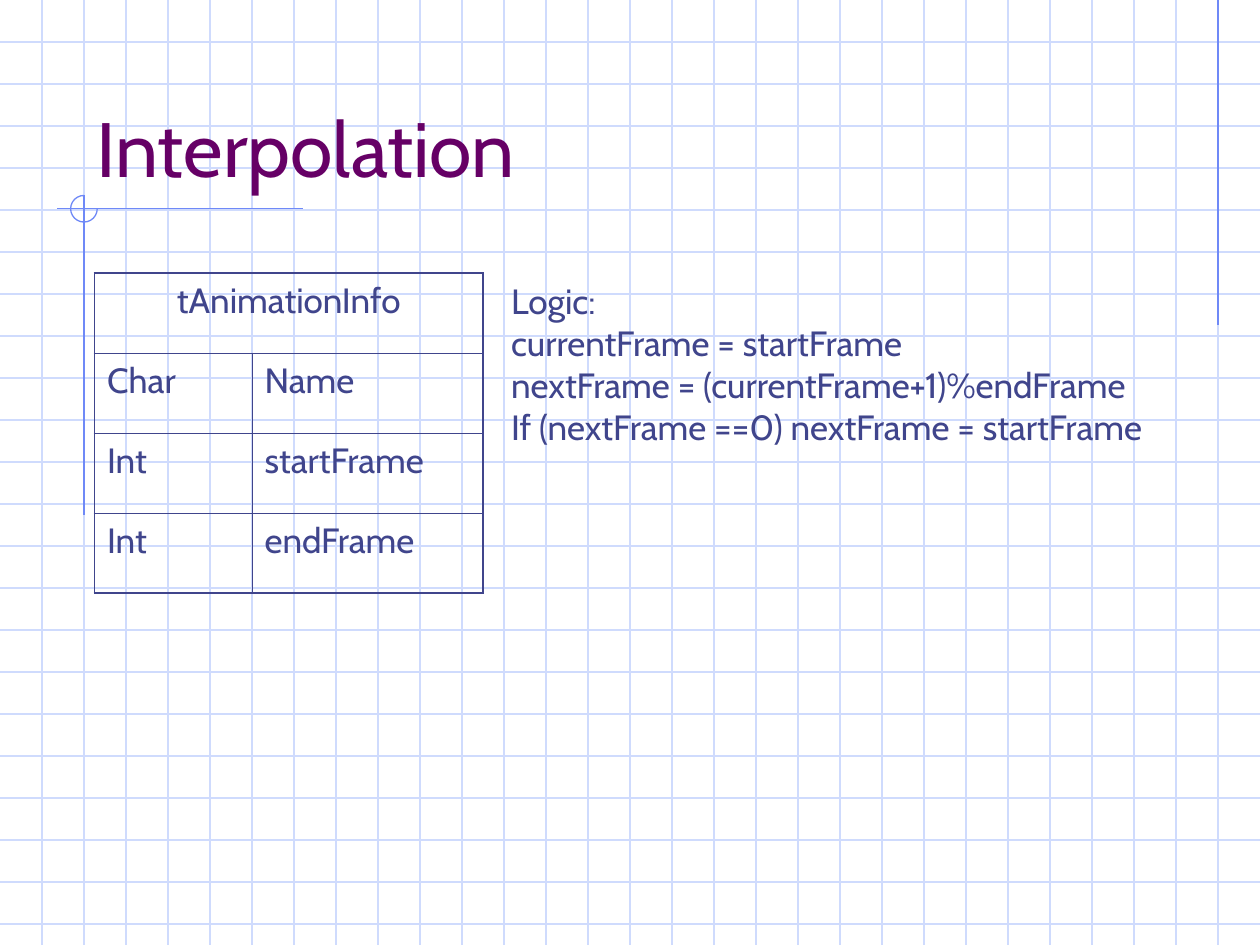
from dataclasses import dataclass

from lxml import etree
from pptx import Presentation
from pptx import util as u
from pptx.dml.color import RGBColor
from pptx.enum import shapes, text
from pptx.oxml import ns

Pt = u.Pt


@dataclass(frozen=True)
class Theme:
    """Colours, font and sizes of the deck."""
    font: str = "Cabin"
    title: str = "660066"
    ink: str = "40458C"
    grid: str = "CFDBFD"
    accent: str = "6F89F7"
    title_size: float = 44
    body_size: float = 20
    rule: float = 0.74
    thin: float = 0.45
    thick: float = 1.08


class SlideBuilder:
    """Adds styled elements to one slide."""

    def __init__(self, s, theme):
        """Keep the slide and its theme."""
        self.s, self.theme = s, theme

    def set_text(self, tf, content, size, color, align=text.PP_ALIGN.LEFT, before=0):
        """Set and format the text of a frame."""
        tf.text = content
        for p in tf.paragraphs:
            p.alignment = align
            p.space_before = Pt(before)
            for r in p.runs:
                r.font.name = self.theme.font
                r.font.size = Pt(size)
                r.font.bold = False
                r.font.color.rgb = RGBColor.from_string(color)

    def line(self, x1, y1, x2, y2, color):
        """Draw a straight line."""
        c = self.s.shapes.add_connector(
            shapes.MSO_CONNECTOR.STRAIGHT, Pt(x1), Pt(y1), Pt(x2), Pt(y2))
        c.line.color.rgb = RGBColor.from_string(color)
        c.line.width = Pt(self.theme.rule)
        etree.SubElement(c.element.spPr, ns.qn("a:effectLst"))

    def grid(self, width, height, step):
        """Rule the slide like squared paper."""
        for y in range(step, height, step):
            self.line(0, y, width, y, self.theme.grid)
        for x in range(step, width, step):
            self.line(x, 0, x, height, self.theme.grid)

    def arc(self, cx, cy, radius, start, end):
        """Draw a clockwise arc between two angles in degrees."""
        sp = self.s.shapes.add_shape(
            shapes.MSO_SHAPE.ARC, Pt(cx - radius), Pt(cy - radius),
            Pt(2 * radius), Pt(2 * radius))
        sp.adjustments[0] = start * 0.6
        sp.adjustments[1] = end * 0.6
        sp.shadow.inherit = False
        sp.fill.background()
        sp.line.color.rgb = RGBColor.from_string(self.theme.accent)
        sp.line.width = Pt(self.theme.rule)

    def title(self, content, x, y, w, h):
        """Place the title in front of the grid."""
        sp = self.s.shapes.title
        sp.left, sp.top, sp.width, sp.height = Pt(x), Pt(y), Pt(w), Pt(h)
        tf = sp.text_frame
        tf.auto_size = text.MSO_AUTO_SIZE.NONE
        tf.vertical_anchor = text.MSO_ANCHOR.BOTTOM
        self.set_text(tf, content, self.theme.title_size, self.theme.title)
        sp.element.getparent().append(sp.element)

    def textbox(self, lines, x, y, w, h):
        """Add a text box with one paragraph per line."""
        tf = self.s.shapes.add_textbox(Pt(x), Pt(y), Pt(w), Pt(h)).text_frame
        tf.word_wrap = False
        self.set_text(tf, "\n".join(lines), self.theme.body_size, self.theme.ink)

    def border(self, cell, side, width):
        """Draw one side of a table cell."""
        ln = etree.SubElement(cell._tc.get_or_add_tcPr(), ns.qn("a:ln" + side),
                              w=str(int(Pt(width))))
        fill = etree.SubElement(ln, ns.qn("a:solidFill"))
        etree.SubElement(fill, ns.qn("a:srgbClr"), val=self.theme.ink)

    def table(self, heading, rows, x, y, widths, row_height):
        """Add a table with a merged heading and a thicker outline."""
        n_rows, n_cols = len(rows) + 1, len(widths)
        table = self.s.shapes.add_table(
            n_rows, n_cols, Pt(x), Pt(y), Pt(sum(widths)),
            Pt(row_height * n_rows)).table
        table.first_row = table.horz_banding = False
        for col, width in zip(table.columns, widths):
            col.width = Pt(width)
        table.cell(0, 0).merge(table.cell(0, n_cols - 1))
        for i, row in enumerate([[heading, ""], *rows]):
            for j, value in enumerate(row):
                cell = table.cell(i, j)
                align = text.PP_ALIGN.LEFT if i else text.PP_ALIGN.CENTER
                self.set_text(cell.text_frame, value, self.theme.body_size,
                              self.theme.ink, align, before=5)
                outer = {"L": j == 0, "R": j == n_cols - 1 or i == 0,
                         "T": i == 0, "B": i == n_rows - 1}
                for side, edge in outer.items():
                    self.border(cell, side,
                                self.theme.thick if edge else self.theme.thin)
                cell.fill.background()


def main():
    """Build the slide and save it."""
    width, height, step = 720, 540, 24
    prs = Presentation()
    prs.slide_width, prs.slide_height = Pt(width), Pt(height)
    theme = Theme()
    b = SlideBuilder(prs.slides.add_slide(prs.slide_layouts[5]), theme)

    b.grid(width, height, step)
    cross_x, cross_y = 48, 119.3
    b.line(696, 0, 696, 186, theme.accent)
    b.line(173, cross_y, 32.5, cross_y, theme.accent)
    b.line(cross_x, 111.5, cross_x, 294.5, theme.accent)
    b.arc(cross_x, cross_y, 7.6, 0, 270)

    b.title("Interpolation", 48, 24, 612, 90)
    b.table("tAnimationInfo",
            [["Char", "Name"], ["Int", "startFrame"], ["Int", "endFrame"]],
            54, 156, [90, 132], 45.75)
    b.textbox(["Logic:",
               "currentFrame = startFrame",
               "nextFrame = (currentFrame+1)%endFrame",
               "If (nextFrame ==0) nextFrame = startFrame"],
              285, 156, 418, 103.5)
    prs.save("out.pptx")


main()
